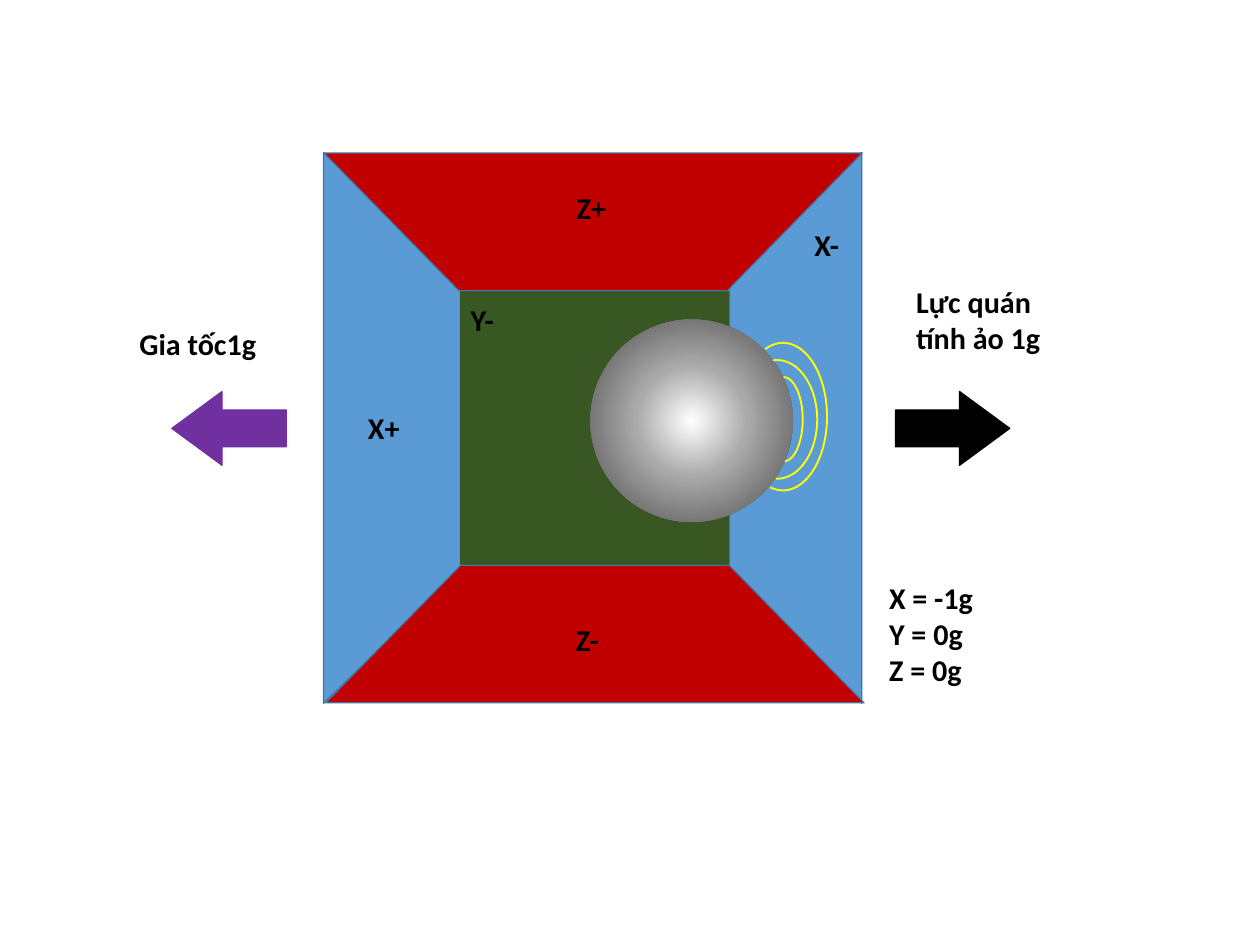
from dataclasses import dataclass

from lxml import etree
from pptx import Presentation
from pptx.dml.color import RGBColor
from pptx.enum.shapes import MSO_SHAPE
from pptx.enum.text import MSO_AUTO_SIZE
from pptx.oxml.ns import qn
from pptx.util import Inches, Pt

TRAPEZOID, RECTANGLE, OVAL = MSO_SHAPE.TRAPEZOID, MSO_SHAPE.RECTANGLE, MSO_SHAPE.OVAL
ARC, LEFT_ARROW, RIGHT_ARROW = MSO_SHAPE.ARC, MSO_SHAPE.LEFT_ARROW, MSO_SHAPE.RIGHT_ARROW
FIT_SHAPE = MSO_AUTO_SIZE.SHAPE_TO_FIT_TEXT


@dataclass(frozen=True)
class Theme:
    font: str = "Calibri"
    size: float = 24.1
    text: str = "000000"
    side_wall: str = "5B9BD5"
    flat_wall: str = "C00000"
    back_wall: str = "385723"
    edge: str = "43739E"
    wave: str = "FFFF00"
    acceleration: str = "7030A0"
    inertia: str = "000000"
    ball: tuple = ((0, "FFFFFF"), (39, "AAAAAA"), (83, "636363"))


THEME = Theme()


def add_figure(page, kind, place, fill=None, line=None, width=1, adjustments=(), rotation=0):
    figure = page.shapes.add_shape(kind, *map(Inches, place))
    figure.shadow.inherit = False
    figure.rotation = rotation
    for index, value in enumerate(adjustments):
        figure.adjustments[index] = value
    if fill:
        figure.fill.solid()
        figure.fill.fore_color.rgb = RGBColor.from_string(fill)
    else:
        figure.fill.background()
    if line:
        figure.line.color.rgb = RGBColor.from_string(line)
        figure.line.width = Pt(width)
    else:
        figure.line.fill.background()
    return figure


def add_wall(page, place, fill, rotation, slope=0.98):
    add_figure(page, TRAPEZOID, place, fill, THEME.edge, adjustments=[slope], rotation=rotation)


def add_ball(page, place):
    """Add a circle shaded from its centre outwards."""
    ball = add_figure(page, OVAL, place, THEME.text)
    solid = ball.element.spPr.find(qn("a:solidFill"))
    gradient = etree.Element(qn("a:gradFill"), rotWithShape="1")
    stops = etree.SubElement(gradient, qn("a:gsLst"))
    for percent, color in THEME.ball:
        stop = etree.SubElement(stops, qn("a:gs"), pos=str(percent * 1000))
        etree.SubElement(stop, qn("a:srgbClr"), val=color)
    shade = etree.SubElement(gradient, qn("a:path"))
    shade.set("path", "circle")
    etree.SubElement(shade, qn("a:fillToRect"), l="50000", t="50000", r="50000", b="50000")
    solid.getparent().replace(solid, gradient)


def add_label(page, place, *lines, wrap=False):
    box = page.shapes.add_textbox(*map(Inches, place))
    frame = box.text_frame
    frame.word_wrap = wrap
    frame.auto_size = FIT_SHAPE
    frame.text = "\n".join(lines)
    for para in frame.paragraphs:
        para.font.name = THEME.font
        para.font.size = Pt(THEME.size)
        para.font.bold = True
        para.font.color.rgb = RGBColor.from_string(THEME.text)


def add_box_walls(page):
    add_wall(page, (5.78, 4.02, 6.12, 1.47), THEME.side_wall, 270, 1.01)
    add_wall(page, (1.3, 3.99, 6.12, 1.53), THEME.side_wall, 90)
    add_figure(page, RECTANGLE, (5.11, 3.23, 2.99, 3.06), THEME.back_wall)
    add_wall(page, (3.6, 1.7, 5.98, 1.53), THEME.flat_wall, 180)
    add_wall(page, (3.62, 6.28, 5.98, 1.53), THEME.flat_wall, 0)


def add_labels(page):
    for text, left, top, width in (
        ("Z+", 6.31, 2.05, 0.56),
        ("X+", 3.99, 4.5, 0.62),
        ("X-", 8.95, 2.47, 0.54),
        ("Y-", 5.13, 3.3, 0.52),
        ("Z-", 6.3, 6.86, 0.52),
    ):
        add_label(page, (left, top, width, 0.51), text)
    add_label(page, (9.78, 6.39, 1.32, 1.32), "X = -1g", "Y = 0g", "Z = 0g")
    add_label(page, (10.08, 3.1, 1.85, 0.91), "Lực quán tính ảo 1g", wrap=True)
    add_label(page, (1.45, 3.57, 1.85, 0.51), "Gia tốc1g", wrap=True)


def add_waves(page):
    for place, angles in (
        ((8.19, 4, 0.89, 1.32), (159.57, 54.77)),
        ((8.49, 4.19, 0.43, 0.94), (162.16, 52.73)),
        ((8.21, 3.81, 0.98, 1.64), (153.13, 60.16)),
    ):
        add_figure(page, ARC, place, line=THEME.wave, width=1.5, adjustments=angles)


def add_force_arrows(page):
    for kind, left, color in (
        (RIGHT_ARROW, 9.95, THEME.inertia),
        (LEFT_ARROW, 1.91, THEME.acceleration),
    ):
        add_figure(page, kind, (left, 4.35, 1.27, 0.82), color, color, adjustments=(0.5, 0.68))


def main():
    deck = Presentation()
    deck.slide_width, deck.slide_height = Inches(14), Inches(10.5)
    page = deck.slides.add_slide(deck.slide_layouts[6])
    add_box_walls(page)
    add_ball(page, (6.56, 3.55, 2.25, 2.25))
    add_labels(page)
    add_waves(page)
    add_force_arrows(page)
    deck.save("out.pptx")


if __name__ == "__main__":
    main()
